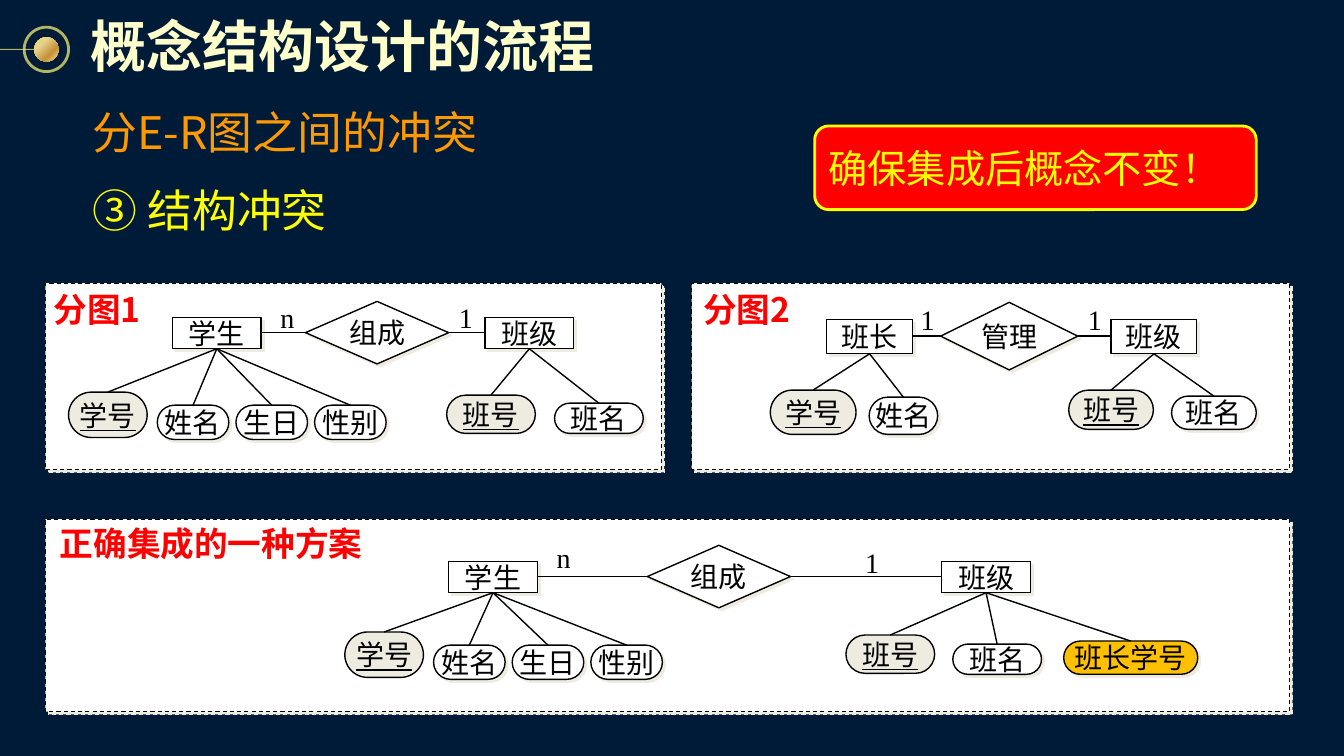
"""Build the slide on structural conflicts between partial E-R diagrams."""
from lxml import etree
from pptx import Presentation
from pptx import util as u
from pptx.dml.color import RGBColor
from pptx.enum import dml, shapes, text
from pptx.oxml.ns import qn

COLORS = {
    "background": "001B37", "white": "FFFFFF", "black": "000000", "cream": "FFFFCC",
    "orange": "FF9900", "yellow": "FFFF00", "red": "FF0000", "amber": "FFC000",
    "shade": "EEECE1", "ring": "FCF873",
}
GOLD_STOPS = [(0, "FCD860"), (31, "E6D38F"), (68, "C69135"), (100, "F1DF97")]
SANS, SERIF = "Noto Sans CJK SC", "Times New Roman"
CELL = u.Inches(0.01)
COLUMNS, ROWS = 1333, 750
KINDS = shapes.MSO_SHAPE


def add_box(left, top, width, height, content="", kind=None, fill=None, line=None, weight=1,
            shadow=False, size=20, font=SERIF, color="black", bold=False, underline=False,
            align="CENTER", anchor="MIDDLE", wrap=False, margins=(0, 0), glow=False):
    place = [CELL * length for length in (left, top, width, height)]
    if kind is None:
        shape = slide.shapes.add_textbox(*place)
    else:
        shape = slide.shapes.add_shape(kind, *place)
        shape.shadow.inherit = False
        if fill:
            shape.fill.solid()
            shape.fill.fore_color.rgb = RGBColor.from_string(COLORS[fill])
        else:
            shape.fill.background()
        if line:
            shape.line.color.rgb = RGBColor.from_string(COLORS[line])
            shape.line.width = u.Pt(weight)
        else:
            shape.line.fill.background()
    if shadow:
        effects = shape._element.spPr.find(qn("a:effectLst"))
        cast = etree.SubElement(effects, qn("a:outerShdw"), dist=str(u.Pt(2.8)), dir="2700000")
        etree.SubElement(cast, qn("a:srgbClr"), val=COLORS["shade"])
    if content:
        frame = shape.text_frame
        frame.word_wrap = wrap
        frame.vertical_anchor = text.MSO_ANCHOR[anchor]
        frame.margin_left = frame.margin_right = CELL * margins[0]
        frame.margin_top = frame.margin_bottom = CELL * margins[1]
        paragraph = frame.paragraphs[0]
        paragraph.alignment = text.PP_ALIGN[align]
        run = paragraph.add_run()
        run.text = content
        run.font.size = u.Pt(size)
        run.font.bold = bold
        run.font.underline = underline
        run.font.color.rgb = RGBColor.from_string(COLORS[color])
        run.font.name = font
        properties = run.font._element
        etree.SubElement(properties, qn("a:ea"), typeface=SANS)
        if glow:
            effects = etree.Element(qn("a:effectLst"))
            cast = etree.SubElement(effects, qn("a:outerShdw"), dist=str(u.Pt(2.8)), dir="2700000")
            etree.SubElement(cast, qn("a:srgbClr"), val=COLORS["black"])
            properties.find(qn("a:solidFill")).addnext(effects)
    return shape


def add_line(x1, y1, x2, y2, color="black", weight=1):
    ends = [int(CELL * length) for length in (x1, y1, x2, y2)]
    connector = slide.shapes.add_connector(shapes.MSO_CONNECTOR.STRAIGHT, *ends)
    connector.line.color.rgb = RGBColor.from_string(COLORS[color])
    connector.line.width = u.Pt(weight)
    etree.SubElement(connector._element.spPr, qn("a:effectLst"))
    return connector


presentation = Presentation()
presentation.slide_width = CELL * COLUMNS
presentation.slide_height = CELL * ROWS
slide = presentation.slides.add_slide(presentation.slide_layouts[6])
slide.background.fill.solid()
slide.background.fill.fore_color.rgb = RGBColor.from_string(COLORS["background"])

ring = add_box(24, 27, 44, 44, kind=KINDS.OVAL, line="ring", weight=2)
lead = add_line(0, 49, 34, 49, color="ring", weight=0.75)
for ornament in (ring, lead):
    for tint in ornament._element.xpath(".//a:ln//a:srgbClr"):
        etree.SubElement(tint, qn("a:alpha"), val="70000")
bead = add_box(34, 37, 24, 24, kind=KINDS.OVAL)
bead.rotation = 270
bead.fill.gradient()
bead.fill.gradient_angle = 225
stops = bead._element.xpath(".//a:gsLst")[0]
for stop in list(stops):
    stops.remove(stop)
for share, tint in GOLD_STOPS:
    stop = etree.SubElement(stops, qn("a:gs"), pos=str(share * 1000))
    etree.SubElement(stop, qn("a:srgbClr"), val=tint)

add_box(82, 3, 521, 83, "概念结构设计的流程", size=40, font="Arial", color="cream",
        bold=True, align="LEFT", margins=(8, 8), glow=True)
add_box(82, 99, 980, 64, "分E-R图之间的冲突", size=32, font=SANS, color="orange",
        align="LEFT", wrap=True, margins=(10, 5))
add_box(82, 176, 917, 63, "③ 结构冲突", size=32, font=SANS, color="yellow",
        align="LEFT", wrap=True, margins=(10, 5))

student = [("学号", -103, 0, 78, 45)]
student += [(name, -15 + 78 * i, 13, 71, 34) for i, name in enumerate(("姓名", "生日", "性别"))]
monitor = [("学号", -56, 0, 85, 44), ("姓名", 42, 7, 68, 37)]
class_one = [("班号", -38, 0, 88, 38), ("班名", 69, 8, 88, 30)]
class_two = [("班号", -42, 0, 84, 39), ("班名", 60, 6, 84, 33)]
class_merged = [("班号", -95, 0, 88, 38), ("班名", 11, 9, 88, 30), ("班长学号", 121, 6, 133, 33)]

diagrams = [
    {"panel": (45, 281, 611, 185), "caption": ("分图1", 29, 287, 135),
     "relation": ("组成", 303, 299, 142, 62), "size": (88, 31),
     "entities": [("学生", 171, 315, 389, student), ("班级", 481, 315, 392, class_one)],
     "counts": [("n", 259, 299), ("1", 436, 299)]},
    {"panel": (686, 281, 593, 185), "caption": ("分图2", 673, 287, 135),
     "relation": ("管理", 933, 300, 136, 67), "size": (85, 34),
     "entities": [("班长", 820, 317, 387, monitor), ("班级", 1102, 317, 387, class_two)],
     "counts": [("1", 894, 300), ("1", 1060, 300)]},
    {"panel": (45, 515, 1234, 191), "caption": ("正确集成的一种方案", 53, 519, 313),
     "relation": ("组成", 642, 541, 142, 62), "size": (88, 31),
     "entities": [("学生", 445, 557, 627, student), ("班级", 934, 557, 630, class_merged)],
     "counts": [("n", 533, 537), ("1", 839, 542)]},
]

for diagram in diagrams:
    panel = add_box(*diagram["panel"], kind=KINDS.RECTANGLE, fill="white", line="black",
                    weight=0.75, shadow=True)
    panel.line.dash_style = dml.MSO_LINE.DASH
    width, height = diagram["size"]
    for entity, left, top, attribute_top, attributes in diagram["entities"]:
        add_box(left, top, width, height, entity, kind=KINDS.RECTANGLE, fill="white",
                line="black", shadow=True)
        for name, shift, drop, wide, high in attributes:
            is_key = name in ("学号", "班号")
            fill = "shade" if is_key else "amber" if name == "班长学号" else "white"
            x, y = left + shift, attribute_top + drop
            pill = add_box(x, y, wide, high, name, kind=KINDS.ROUNDED_RECTANGLE, fill=fill,
                           line="black", shadow=not is_key, underline=is_key,
                           font=SANS if is_key else SERIF)
            pill.adjustments[0] = 0.5
            add_line(left + width / 2, top + height, x + wide / 2, y)
    relation, x, y, wide, high = diagram["relation"]
    add_box(x, y, wide, high, relation, kind=KINDS.DIAMOND, fill="white", line="black",
            shadow=True)
    first, second = diagram["entities"]
    add_line(first[1] + width, y + high / 2, x, y + high / 2)
    add_line(x + wide, y + high / 2, second[1], y + high / 2)
    for count, x, y in diagram["counts"]:
        add_box(x, y, 52, height, count)
    caption, x, y, wide = diagram["caption"]
    add_box(x, y, wide, 40, caption, size=24, font=SANS, color="red", bold=True,
            anchor="TOP", wrap=True)

add_box(808, 125, 438, 83, "确保集成后概念不变！", kind=KINDS.ROUNDED_RECTANGLE, fill="red",
        line="yellow", weight=2, size=28, font=SANS, color="yellow", align="LEFT", wrap=True,
        margins=(10, 5))

presentation.save("out.pptx")
